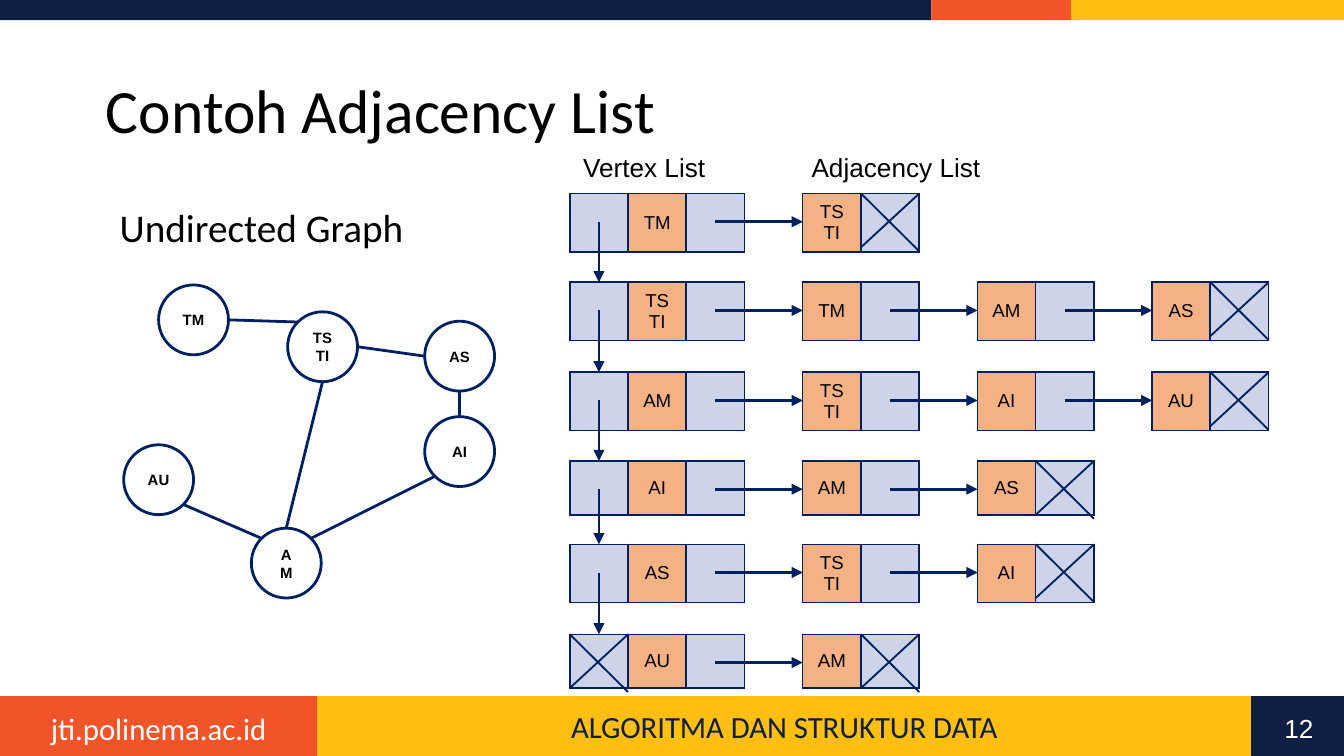
import math
import pptx
import pptx.util
import pptx.dml.color
import pptx.enum.shapes
import pptx.enum.text
from pptx.oxml import parse_xml
from pptx.oxml.ns import nsdecls

# Content
TITLE = "Contoh Adjacency List"
SUBTITLE = "Undirected Graph"
LIST_LABELS = [("Vertex List", 4.24, 1.13), ("Adjacency List", 5.94, 1.47)]
SITE, COURSE, PAGE = "jti.polinema.ac.id", "ALGORITMA DAN STRUKTUR DATA", "12"

# Each row: top, vertex, neighbours
ADJACENCY = [
    (1.44, "TM", ["TS TI"]),
    (2.10, "TS TI", ["TM", "AM", "AS"]),
    (2.77, "AM", ["TS TI", "AI", "AU"]),
    (3.43, "AI", ["AM", "AS"]),
    (4.05, "AS", ["TS TI", "AI"]),
    (4.72, "AU", ["AM"]),
]
# Node centres, and edges as (node, compass angle, node, compass angle)
NODES = {"TS TI": (2.4, 2.58), "TM": (1.44, 2.38), "AS": (3.42, 2.65),
         "AI": (3.42, 3.36), "AU": (1.18, 3.57), "AM": (2.13, 4.19)}
RIGHT, BOTTOM_RIGHT, BOTTOM, BOTTOM_LEFT = 0, 45, 90, 135
LEFT, TOP_LEFT, TOP, TOP_RIGHT = 180, 225, 270, 315
EDGES = [("TM", RIGHT, "TS TI", TOP_LEFT), ("TS TI", RIGHT, "AS", LEFT),
         ("AS", BOTTOM, "AI", TOP), ("TS TI", BOTTOM, "AM", TOP),
         ("AM", TOP_LEFT, "AU", BOTTOM_RIGHT), ("AI", BOTTOM_LEFT, "AM", TOP_RIGHT)]

THEME = {
    "navy": "0E1F43", "orange": "F15429", "yellow": "FEBF12", "white": "FFFFFF",
    "black": "000000", "line": "002060", "pointer": "CDD4EA", "data": "F4B183",
    "heading_font": "Calibri", "label_font": "Arial",
    "title": 33, "subtitle": 21, "footer": 16.5, "label": 14, "cell": 10, "node": 8,
}

# Grid
WIDTH = 10
HEIGHT = WIDTH * 9 / 16
BAND_TOP, FOOTER_TOP = 0.15, 5.18
TOP_STOPS = [0, 6.93, 7.97, WIDTH]
FOOTER_STOPS = [0, 2.36, 9.31, WIDTH]
LIST_LEFT, CELL, ROW = 4.24, 5.2 / 12, 0.39
BLOCK = 3  # columns per block: pointer or gap, data, pointer
POINTER_DROP = 0.21  # from a row's top to its arrows
NODE_SIZE = 0.52

inch = pptx.util.Inches
SHAPES = pptx.enum.shapes.MSO_SHAPE
ALIGN = pptx.enum.text.PP_ALIGN
ANCHOR = pptx.enum.text.MSO_ANCHOR

deck = pptx.Presentation()
deck.slide_width, deck.slide_height = inch(WIDTH), inch(HEIGHT)
slide = deck.slides.add_slide(deck.slide_layouts[6])


def color(name):
    return pptx.dml.color.RGBColor.from_string(THEME[name])


def write(frame, text, *, size, font="label_font", ink="black", bold=False,
          align=ALIGN.CENTER, spacing=None, before=None, wrap=True):
    frame.word_wrap = wrap
    line = frame.paragraphs[0]
    line.alignment = align
    if spacing:
        line.line_spacing = spacing
    if before:
        line.space_before = pptx.util.Pt(before)
    run = line.add_run()
    run.text = text
    run.font.size = pptx.util.Pt(THEME[size])
    run.font.name = THEME[font]
    run.font.bold = bold
    run.font.color.rgb = color(ink)


def textbox(left, top, width, height, text, anchor=ANCHOR.TOP, inset=0.1, **style):
    frame = slide.shapes.add_textbox(*map(inch, (left, top, width, height))).text_frame
    frame.vertical_anchor = anchor
    frame.margin_left = inch(inset)
    write(frame, text, **style)


def solid(kind, left, top, width, height, fill, outline=None):
    shape = slide.shapes.add_shape(kind, *map(inch, (left, top, width, height)))
    shape.shadow.inherit = False
    shape.fill.solid()
    shape.fill.fore_color.rgb = color(fill)
    if outline:
        shape.line.color.rgb = color("line")
        shape.line.width = pptx.util.Pt(outline)
    else:
        shape.line.fill.background()
    shape.text_frame.vertical_anchor = ANCHOR.MIDDLE
    return shape


def connect(start, end, weight=1.5, arrow=False):
    link = slide.shapes.add_connector(pptx.enum.shapes.MSO_CONNECTOR.STRAIGHT,
                                      *map(inch, (*start, *end)))
    link.line.color.rgb = color("line")
    link.line.width = pptx.util.Pt(weight)
    if arrow:
        link.line._get_or_add_ln().append(
            parse_xml(f'<a:tailEnd {nsdecls("a")} type="triangle"/>'))
    link._element.spPr.append(parse_xml(f'<a:effectLst {nsdecls("a")}/>'))


def cross(column, top):
    left = LIST_LEFT + column * CELL
    right = left + CELL
    connect((left, top), (right, top + 0.43), weight=1)
    connect((right, top), (left, top + 0.4), weight=1)


def border(cell, sides, visible):
    for side in sides:
        paint = (f'<a:solidFill><a:srgbClr val="{THEME["line"]}"/></a:solidFill>'
                 if visible else "<a:noFill/>")
        cell._tc.get_or_add_tcPr().append(
            parse_xml(f'<a:ln{side} {nsdecls("a")} w="12700">{paint}</a:ln{side}>'))


def list_row(top, names):
    columns = BLOCK * len(names)
    table = slide.shapes.add_table(1, columns, *map(
        inch, (LIST_LEFT, top, columns * CELL, ROW))).table
    table.first_row = table.horz_banding = False
    for column in range(columns):
        table.columns[column].width = inch(CELL)
        block, part = divmod(column, BLOCK)
        cell = table.cell(0, column)
        gap = part == 0 and block > 0
        border(cell, "LR", True)
        border(cell, "TB", not gap)
        cell.vertical_anchor = ANCHOR.MIDDLE
        if gap:
            cell.fill.background()
            continue
        cell.fill.solid()
        cell.fill.fore_color.rgb = color("data" if part == 1 else "pointer")
        if part == 1:
            write(cell.text_frame, names[block], size="cell")


# Top band and footer
for stops, top, height, fills in (
        (TOP_STOPS, 0, BAND_TOP, ("navy", "orange", "yellow")),
        (FOOTER_STOPS, FOOTER_TOP, HEIGHT - FOOTER_TOP, ("orange", "yellow", "navy"))):
    for left, right, fill in zip(stops, stops[1:], fills):
        bar = solid(SHAPES.RECTANGLE, left, top, right - left, height, fill)
        if top and fill == "yellow":
            write(bar.text_frame, COURSE, size="footer", font="heading_font", ink="navy")
textbox(0, 5.23, 2.36, 0.38, SITE, size="footer", font="heading_font", ink="white")

# Headings and page number
textbox(0.69, 0.3, 7.68, 1.09, TITLE, anchor=ANCHOR.MIDDLE, size="title",
        font="heading_font", align=ALIGN.LEFT, spacing=0.9)
textbox(0.69, 1.5, 8.62, 3.57, SUBTITLE, inset=0.2, size="subtitle",
        font="heading_font", align=ALIGN.LEFT, spacing=0.9, before=7.5)
textbox(9.44, 5.25, 0.45, 0.3, PAGE, size="label", ink="white")

# Graph
for name, (x, y) in NODES.items():
    node = solid(SHAPES.OVAL, x - NODE_SIZE / 2, y - NODE_SIZE / 2,
                 NODE_SIZE, NODE_SIZE, "white", outline=1.5)
    write(node.text_frame, name, size="node", bold=True)


def rim(name, angle):
    x, y = NODES[name]
    turn = math.radians(angle)
    return x + NODE_SIZE / 2 * math.cos(turn), y + NODE_SIZE / 2 * math.sin(turn)


for first, leave, second, arrive in EDGES:
    connect(rim(first, leave), rim(second, arrive))

# Adjacency list: blocks, then pointers and end marks
for top, vertex, neighbours in ADJACENCY:
    list_row(top, [vertex] + neighbours)
for row, (top, vertex, neighbours) in enumerate(ADJACENCY):
    middle = top + POINTER_DROP
    for block in range(len(neighbours)):
        pointer = LIST_LEFT + (BLOCK * block + 2.5) * CELL
        connect((pointer, middle), (pointer + 1.5 * CELL, middle), arrow=True)
    cross(BLOCK * len(neighbours) + 2, top)
    if row + 1 < len(ADJACENCY):
        down = LIST_LEFT + CELL / 2
        connect((down, middle), (down, ADJACENCY[row + 1][0]), arrow=True)
    else:
        cross(0, top)

# List labels
for label, left, width in LIST_LABELS:
    textbox(left, 1.08, width, 0.34, label, size="label", align=ALIGN.LEFT, wrap=False)

deck.save("out.pptx")
